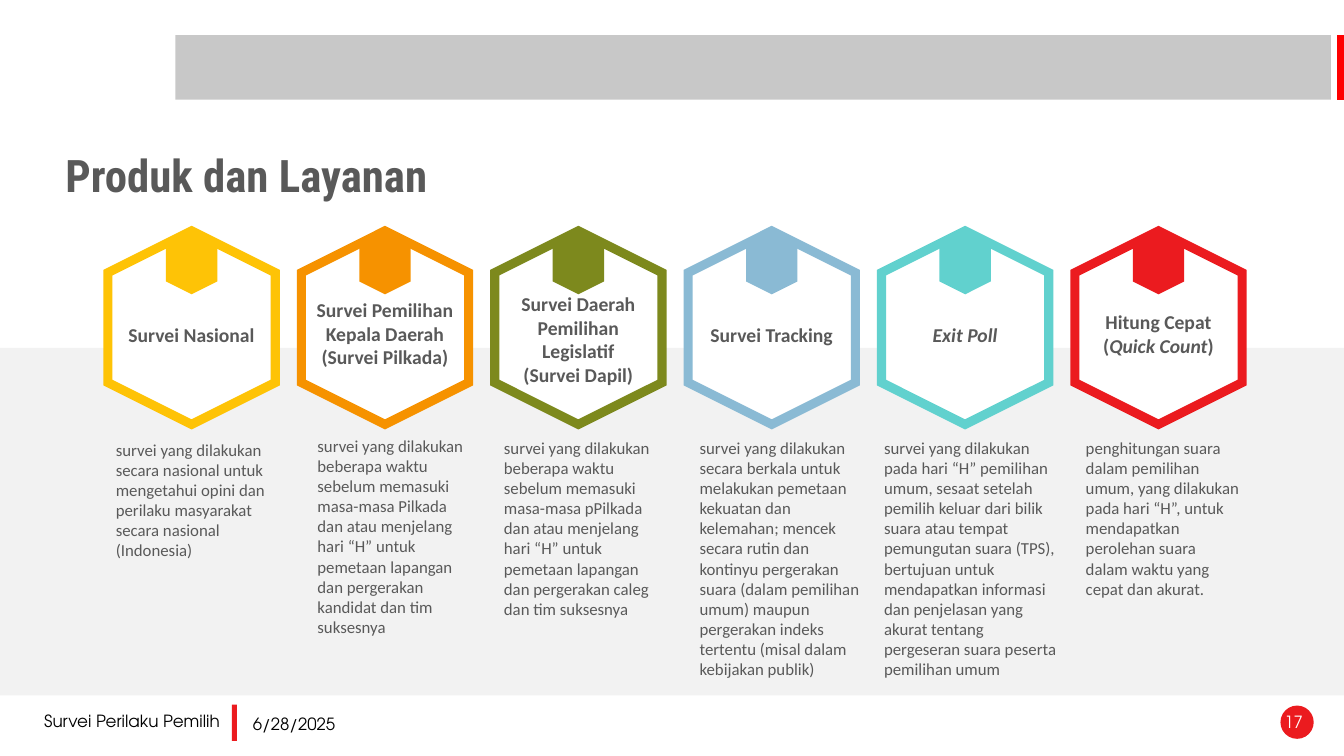
from lxml.etree import SubElement
from pptx import Presentation
from pptx.dml.color import RGBColor
from pptx.enum.shapes import MSO_CONNECTOR, MSO_SHAPE
from pptx.enum.text import MSO_ANCHOR, MSO_AUTO_SIZE, PP_ALIGN
from pptx.oxml.ns import qn
from pptx.util import Inches, Pt

WHITE = RGBColor(0xFF, 0xFF, 0xFF)
BLACK = RGBColor(0, 0, 0)
INK = RGBColor(0x59, 0x59, 0x59)
SILVER = RGBColor(0xC8, 0xC8, 0xC8)
PALE = RGBColor(0xF2, 0xF2, 0xF2)
PURE_RED = RGBColor(0xFF, 0, 0)
RED = RGBColor(0xEB, 0x1B, 0x1F)
YELLOW = RGBColor(0xFE, 0xC3, 0x06)
ORANGE = RGBColor(0xF6, 0x92, 0x00)
OLIVE = RGBColor(0x7D, 0x89, 0x1D)
BLUE = RGBColor(0x8A, 0xBA, 0xD4)
TEAL = RGBColor(0x61, 0xD1, 0xCE)

BODY_FONT = "Calibri"
HEADING_FONT = "Roboto Condensed"
FOOTER_FONT = "TeX Gyre Adventor"

HEADING = "Produk dan Layanan"
# Each service: colour, name runs (text, italic), name box (top, width, height), description, its box
SERVICES = [
    (YELLOW, [("Survei Nasional", False)], (3.15, 1.48, 0.34),
     "survei yang dilakukan secara nasional untuk mengetahui opini dan perilaku "
     "masyarakat secara nasional (Indonesia)", (1.05, 4.31, 1.68, 1.31)),
    (ORANGE, [("Survei Pemilihan Kepala Daerah (Survei Pilkada)", False)], (2.91, 1.68, 0.81),
     "survei yang dilakukan beberapa waktu sebelum memasuki masa-masa Pilkada dan atau "
     "menjelang hari “H” untuk pemetaan lapangan dan pergerakan kandidat dan tim suksesnya",
     (3.05, 4.27, 1.68, 2.12)),
    (OLIVE, [("Survei Daerah Pemilihan Legislatif (Survei Dapil)", False)], (2.85, 1.48, 1.04),
     "survei yang dilakukan beberapa waktu sebelum memasuki masa-masa pPilkada dan atau "
     "menjelang hari “H” untuk pemetaan lapangan dan pergerakan caleg dan tim suksesnya",
     (4.9, 4.29, 1.66, 2.17)),
    (BLUE, [("Survei Tracking", False)], (3.15, 1.61, 0.34),
     "survei yang dilakukan secara berkala untuk melakukan pemetaan kekuatan dan kelemahan; "
     "mencek secara rutin dan kontinyu pergerakan suara (dalam pemilihan umum) maupun "
     "pergerakan indeks tertentu (misal dalam kebijakan publik)", (6.84, 4.29, 1.79, 2.52)),
    (TEAL, [("Exit Poll", True)], (3.15, 1.61, 0.34),
     "survei yang dilakukan pada hari “H” pemilihan umum, sesaat setelah pemilih keluar dari "
     "bilik suara atau tempat pemungutan suara (TPS), bertujuan untuk mendapatkan informasi "
     "dan penjelasan yang akurat tentang pergeseran suara peserta pemilihan umum",
     (8.67, 4.29, 1.91, 2.52)),
    (RED, [("Hitung Cepat (", False), ("Quick Count", True), (")", False)], (3.03, 1.48, 0.57),
     "penghitungan suara dalam pemilihan umum, yang dilakukan pada hari “H”, untuk "
     "mendapatkan perolehan suara dalam waktu yang cepat dan akurat.",
     (10.67, 4.29, 1.74, 1.72)),
]
FOOTER = [
    ("6/28/2025", (2.41, 7.03, 1.69, 0.4), BLACK, PP_ALIGN.LEFT),
    ("17", (11.24, 7.01, 1.78, 0.4), WHITE, PP_ALIGN.RIGHT),
    ("Survei Perilaku Pemilih", (0.34, 7, 2.1, 0.4), BLACK, PP_ALIGN.LEFT),
]
FIRST_CENTER, LAST_CENTER = 1.9, 11.49
FRAME_SIZE, FRAME_MIDDLE = (1.92, 1.66), 3.25
TAB_SIZE, TAB_MIDDLE = (0.6, 0.51), 2.62

prs = Presentation()
prs.slide_width, prs.slide_height = Inches(13.33), Inches(7.5)
slide = prs.slides.add_slide(prs.slide_layouts[6])


def add_block(kind, box, fill, border=None):
    block = slide.shapes.add_shape(kind, *map(Inches, box))
    block.shadow.inherit = False
    block.fill.solid()
    block.fill.fore_color.rgb = fill
    if border is None:
        block.line.fill.background()
    else:
        block.line.color.rgb = border
        block.line.width = Pt(6.5)
        SubElement(block.line._get_or_add_ln(), qn("a:miter"), lim="800000")
    return block


def add_hexagon(center, middle, size, fill, border=None):
    length, breadth = size
    box = (center - length / 2, middle - breadth / 2, length, breadth)
    add_block(MSO_SHAPE.HEXAGON, box, fill, border).rotation = 90


def add_text(box, runs, size, font, color, align=PP_ALIGN.LEFT, bold=False, grow=False):
    frame = slide.shapes.add_textbox(*map(Inches, box)).text_frame
    frame.word_wrap = True
    if grow:
        frame.auto_size = MSO_AUTO_SIZE.SHAPE_TO_FIT_TEXT
    paragraph = frame.paragraphs[0]
    paragraph.alignment = align
    for words, italic in runs:
        run = paragraph.add_run()
        run.text = words
        run.font.size, run.font.name = Pt(size), font
        run.font.bold, run.font.italic = bold, italic
        run.font.color.rgb = color
    return frame


add_block(MSO_SHAPE.RECTANGLE, (1.74, 0.35, 11.46, 0.64), SILVER)
edge_mark = slide.shapes.add_connector(
    MSO_CONNECTOR.STRAIGHT, Inches(13.3), Inches(0.35), Inches(13.3), Inches(0.99))
edge_mark.line.color.rgb = PURE_RED
edge_mark.line.width = Pt(6)
SubElement(edge_mark._element.spPr, qn("a:effectLst"))

add_block(MSO_SHAPE.RECTANGLE, (0, 3.45, 13.33, 3.45), PALE)
add_block(MSO_SHAPE.OVAL, (12.7, 7, 0.33, 0.33), RED)
add_block(MSO_SHAPE.RECTANGLE, (2.3, 6.99, 0.05, 0.36), RED)

heading = add_text((0.55, 1.31, 4.68, 0.92), [(HEADING, False)], 32, HEADING_FONT, INK, bold=True)
heading.vertical_anchor = MSO_ANCHOR.MIDDLE
heading.paragraphs[0].line_spacing = 0.9

pitch = (LAST_CENTER - FIRST_CENTER) / (len(SERVICES) - 1)
for index, (color, name, name_box, description, description_box) in enumerate(SERVICES):
    center = FIRST_CENTER + index * pitch
    top, width, height = name_box
    add_hexagon(center, FRAME_MIDDLE, FRAME_SIZE, WHITE, color)
    add_hexagon(center, TAB_MIDDLE, TAB_SIZE, color)
    add_text((center - width / 2, top, width, height), name, 14, BODY_FONT, INK,
             PP_ALIGN.CENTER, bold=True, grow=True)
    add_text(description_box, [(description, False)], 12, BODY_FONT, INK, grow=True)

for words, box, color, align in FOOTER:
    add_text(box, [(words, False)], 12, FOOTER_FONT, color, align)

prs.save("out.pptx")
